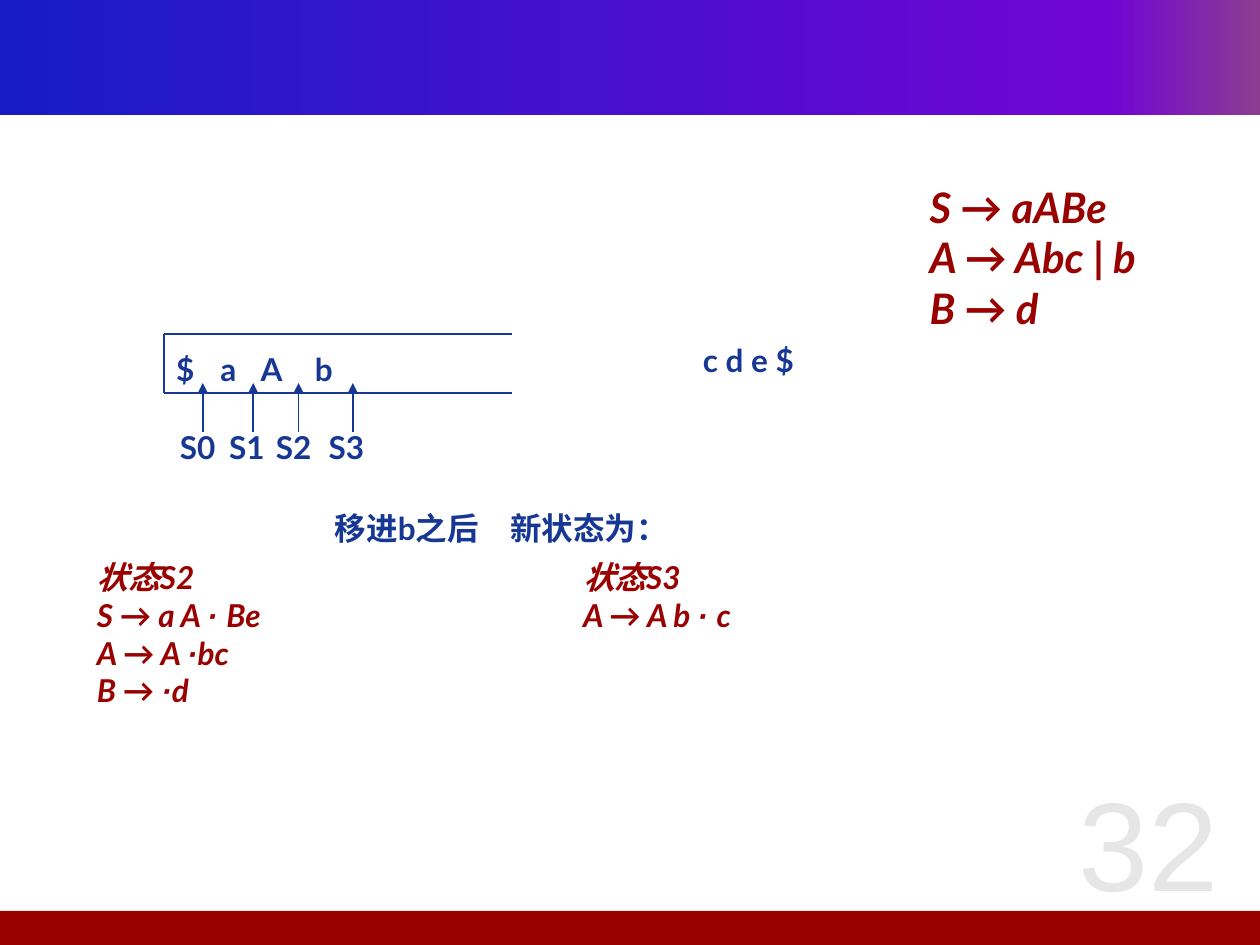
import copy
import pptx
import pptx.util
import pptx.dml.color
import pptx.enum.shapes
import pptx.enum.text
import pptx.oxml.ns
import pptx.oxml.xmlchemy

Inches = pptx.util.Inches

THEME = {
    "font": "Lato",
    "symbol_font": "Arial",
    "blue": "163794",
    "red": "990000",
    "gray": "E6E6E6",
    "banner": [(0, "181CC7"), (0.88, "7005D4"), (1, "8C3D91")],
    "body": 18,
    "grammar": 24,
    "number": 72,
    "line": 1,
}

DOT = {"name": THEME["symbol_font"]}
UPRIGHT = {"italic": False}

GRAMMAR = [["S → aABe"], ["A → Abc ", ("|", UPRIGHT), " b"], ["B → d"]]
STATE_S2 = [
    ["状态S2"],
    ["S → a A ", ("· ", DOT), "Be"],
    ["A → A ", ("·", DOT), "bc"],
    ["B → ", ("·", DOT), "d"],
]
STATE_S3 = [["状态S3"], ["A → A b ", ("· ", DOT), "c"]]

STACK_SYMBOLS = [("$", 1.3), ("a", 1.65), ("A", 1.97), ("b", 2.4)]
STACK_STATES = [("S0", 1.33, 1.61), ("S1", 1.72, 2.01), ("S2", 2.09, 2.37), ("S3", 2.51, 2.8)]
STACK_LEFT, STACK_RIGHT, STACK_TOP, STACK_BOTTOM = 1.3, 4.06, 2.65, 3.12
SYMBOL_TOP, STATE_TOP = 2.73, 3.35
ARROW_START, ARROW_END = 3.43, 3.04
CAPTION_TOP, ITEMS_TOP = 3.99, 4.38
LINE_HEIGHT = 0.4


def color(name):
    return pptx.dml.color.RGBColor.from_string(THEME.get(name, name))


def add_bar(slide, left, top, width, height):
    shape = slide.shapes.add_shape(
        pptx.enum.shapes.MSO_SHAPE.RECTANGLE,
        Inches(left), Inches(top), Inches(width), Inches(height),
    )
    shape.shadow.inherit = False
    shape.line.fill.background()
    return shape


def fill_gradient(shape, stops):
    shape.fill.gradient()
    shape.fill.gradient_angle = 0
    stop_list = shape._element.spPr.find(".//" + pptx.oxml.ns.qn("a:gsLst"))
    while len(stop_list) < len(stops):
        stop_list.append(copy.deepcopy(stop_list[-1]))
    for stop, (position, value) in zip(shape.fill.gradient_stops, stops):
        stop.color.rgb = color(value)
        stop.position = position


def add_text(slide, paragraphs, left, top, width, height=LINE_HEIGHT, ink="blue",
             size="body", wrap=False, bold=True, italic=False, font="font", align="LEFT"):
    shape = slide.shapes.add_textbox(Inches(left), Inches(top), Inches(width), Inches(height))
    frame = shape.text_frame
    frame.word_wrap = wrap
    for index, runs in enumerate(paragraphs):
        paragraph = frame.add_paragraph() if index else frame.paragraphs[0]
        paragraph.alignment = pptx.enum.text.PP_ALIGN[align]
        paragraph.font.name = THEME[font]
        paragraph.font.size = pptx.util.Pt(THEME[size])
        paragraph.font.bold = bold
        paragraph.font.italic = italic
        paragraph.font.color.rgb = color(ink)
        for item in runs:
            text, changes = item if isinstance(item, tuple) else (item, {})
            run = paragraph.add_run()
            run.text = text
            for attribute, value in changes.items():
                setattr(run.font, attribute, value)


def add_line(slide, start, end, arrow=False):
    connector = slide.shapes.add_connector(
        pptx.enum.shapes.MSO_CONNECTOR.STRAIGHT, *map(Inches, start + end)
    )
    connector.line.color.rgb = color("blue")
    connector.line.width = pptx.util.Pt(THEME["line"])
    properties = connector._element.spPr
    if arrow:
        tail = pptx.oxml.xmlchemy.OxmlElement("a:tailEnd")
        tail.set("type", "triangle")
        properties.find(pptx.oxml.ns.qn("a:ln")).append(tail)
    properties.append(pptx.oxml.xmlchemy.OxmlElement("a:effectLst"))


def add_stack(slide):
    for y in (STACK_TOP, STACK_BOTTOM):
        add_line(slide, (STACK_LEFT, y), (STACK_RIGHT, y))
    add_line(slide, (STACK_LEFT, STACK_TOP), (STACK_LEFT, STACK_BOTTOM))
    for symbol, left in STACK_SYMBOLS:
        add_text(slide, [[symbol]], left, SYMBOL_TOP, 0.36)
    for state, left, arrow_x in STACK_STATES:
        add_text(slide, [[state]], left, STATE_TOP, 0.52)
        add_line(slide, (arrow_x, ARROW_START), (arrow_x, ARROW_END), arrow=True)


def main():
    presentation = pptx.Presentation()
    presentation.slide_width = Inches(10)
    presentation.slide_height = Inches(7.5)
    slide = presentation.slides.add_slide(presentation.slide_layouts[6])

    fill_gradient(add_bar(slide, 0, 0, 10, 0.91), THEME["banner"])
    footer = add_bar(slide, 0, 7.23, 10, 0.27)
    footer.fill.solid()
    footer.fill.fore_color.rgb = color("red")
    add_text(slide, [["32"]], 8.23, 6.03, 1.77, 1.42, ink="gray", size="number",
             wrap=True, bold=False, font="symbol_font", align="CENTER")

    add_stack(slide)
    add_text(slide, [["c d e $"]], 5.48, 2.66, 0.93)
    add_text(slide, GRAMMAR, 7.28, 1.39, 2.2, 1.31, ink="red", size="grammar", italic=True)
    add_text(slide, [["移进b之后"]], 2.56, CAPTION_TOP, 1.5, wrap=True)
    add_text(slide, [["新状态为："]], 3.95, CAPTION_TOP, 1.46)
    for left, items, height in ((0.67, STATE_S2, 1.3), (4.53, STATE_S3, 0.7)):
        add_text(slide, items, left, ITEMS_TOP, 1.73, height, ink="red", wrap=True, italic=True)

    presentation.save("out.pptx")


if __name__ == "__main__":
    main()
